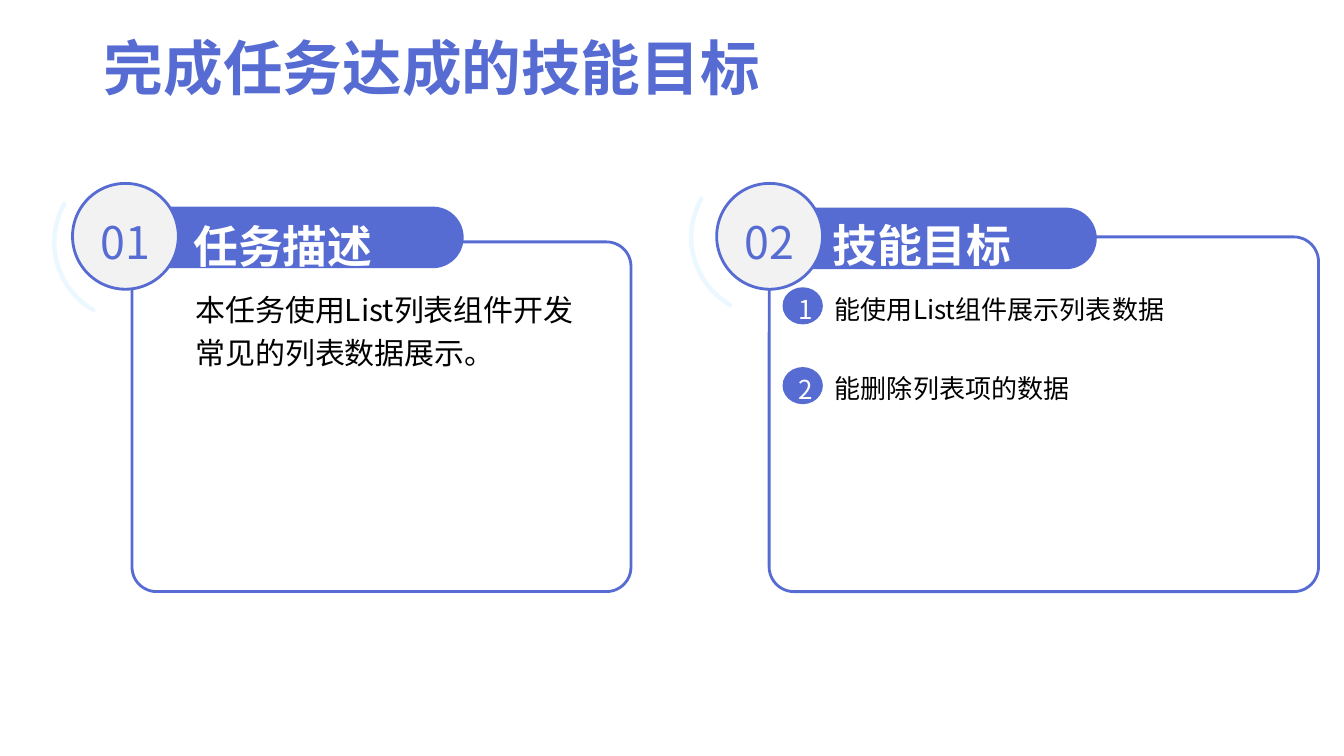
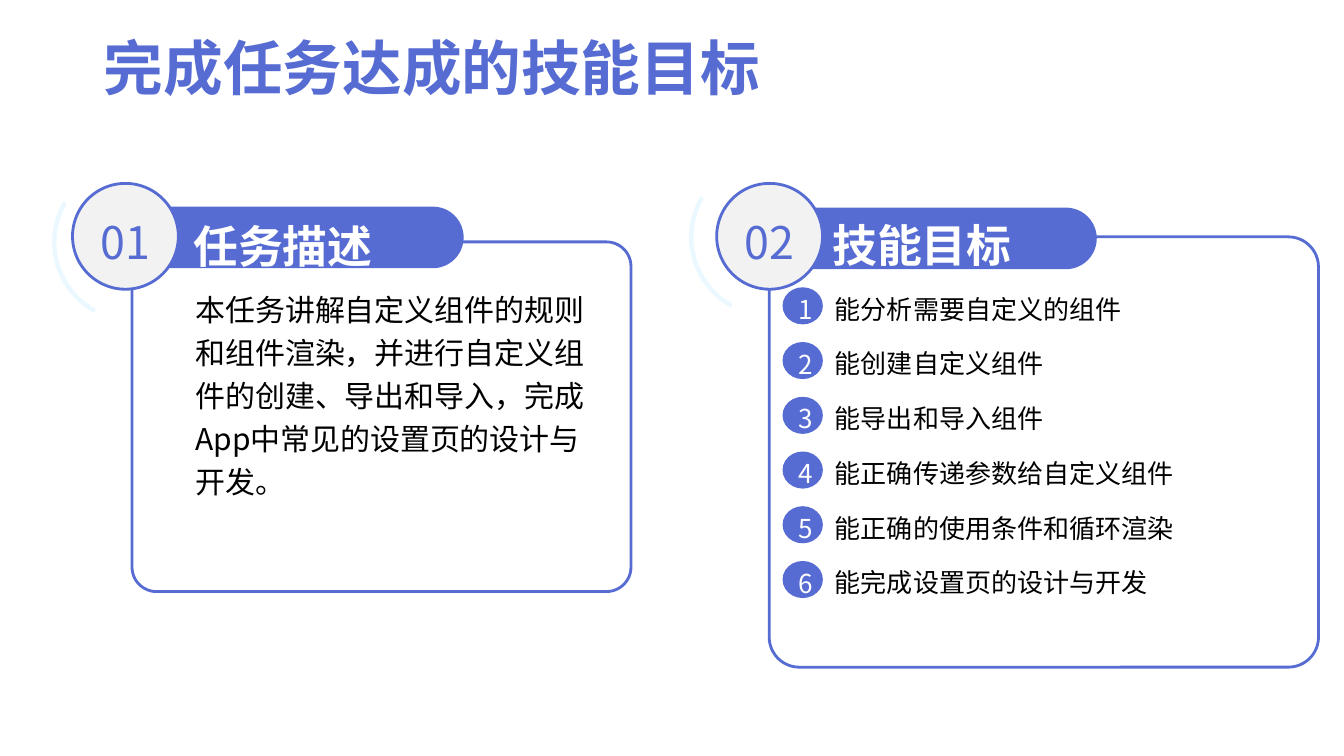
from dataclasses import dataclass

from lxml.etree import SubElement
from pptx import Presentation
from pptx.dml.color import RGBColor
from pptx.enum.shapes import MSO_SHAPE
from pptx.enum.text import MSO_ANCHOR, PP_ALIGN
from pptx.oxml.ns import qn
from pptx.util import Pt


@dataclass(frozen=True)
class Theme:
    font: str = "Noto Sans CJK SC"
    accent: str = "566CD3"
    disc: str = "F2F2F2"
    arc: str = "EBF8FF"
    ink: str = "000000"
    white: str = "FFFFFF"
    title_size: float = 42.6
    heading_size: float = 32
    body_size: float = 21.4
    goal_size: float = 18.6
    line_width: float = 2


theme = Theme()

TITLE = "完成任务达成的技能目标"

# Left, top, width, height in points
SECTIONS = [
    dict(number="01", heading="任务描述", panel=(94.3, 172.8, 356.4),
         band=(97.2, 147.6), disc=(51.8, 131), arc=(38.2, 116.6),
         heading_box=(131, 151.2, 192, 40.3)),
    dict(number="02", heading="技能目标", panel=(549.4, 169.2, 392.4),
         band=(549.4, 148.3), disc=(511.9, 131), arc=(493.2, 113),
         heading_box=(587.5, 149, 177, 44)),
]
BAND_SIZE = (234, 44)
DISC_SIZE = (75.6, 75.6)
ARC_SIZE = (113, 113)
BADGE_LEFT, BADGE_TOP, BADGE_SIZE = 559, 205.2, (28.8, 26.5)
GOAL_LEFT, GOAL_RISE, GOAL_SIZE = 589.3, 3.9, (336, 34.6)

TASKS = [
    dict(description="本任务使用List列表组件开发常见的列表数据展示。",
         description_height=69, panel_bottom=422.6, goal_pitch=57,
         goals=["能使用List组件展示列表数据", "能删除列表项的数据"]),
    dict(description="本任务讲解自定义组件的规则和组件渲染，并进行自定义组件的创建、"
                     "导出和导入，完成App中常见的设置页的设计与开发。",
         description_height=163, panel_bottom=476.6, goal_pitch=39.1,
         goals=["能分析需要自定义的组件", "能创建自定义组件", "能导出和导入组件",
                "能正确传递参数给自定义组件", "能正确的使用条件和循环渲染",
                "能完成设置页的设计与开发"]),
]
DESCRIPTION_PANEL_BOTTOM = 422.6


def add_figure(slide, preset, box, fill=None, line=None):
    """Add a preset shape without shadow; no fill or outline unless given."""
    figure = slide.shapes.add_shape(preset, *map(Pt, box))
    figure.shadow.inherit = False
    if fill:
        figure.fill.solid()
        figure.fill.fore_color.rgb = RGBColor.from_string(fill)
    else:
        figure.fill.background()
    if line:
        figure.line.color.rgb = RGBColor.from_string(line)
        figure.line.width = Pt(theme.line_width)
    else:
        figure.line.fill.background()
    return figure


def write(shape, text, size, color, bold=False, align=PP_ALIGN.LEFT,
          anchor=MSO_ANCHOR.TOP):
    frame = shape.text_frame
    frame.text = text
    frame.word_wrap = True
    frame.vertical_anchor = anchor
    paragraph = frame.paragraphs[0]
    paragraph.alignment = align
    paragraph.line_spacing = 1.2
    font = paragraph.runs[0].font
    font.size = Pt(size)
    font.bold = bold
    font.color.rgb = RGBColor.from_string(color)
    font.name = theme.font
    SubElement(paragraph.runs[0]._r.rPr, qn("a:ea"), typeface=theme.font)
    return frame


prs = Presentation()
prs.slide_width, prs.slide_height = Pt(960), Pt(540)

for task in TASKS:
    slide = prs.slides.add_slide(prs.slide_layouts[6])

    title = slide.shapes.add_textbox(Pt(74.2), Pt(12.2), Pt(531.4), Pt(62))
    title_frame = write(title, TITLE, theme.title_size, theme.accent, bold=True)
    title_frame.margin_left = title_frame.margin_right = 0
    title_frame.margin_top = title_frame.margin_bottom = 0

    bottoms = (DESCRIPTION_PANEL_BOTTOM, task["panel_bottom"])
    if task["goal_pitch"] > 50:
        bottoms = (DESCRIPTION_PANEL_BOTTOM, DESCRIPTION_PANEL_BOTTOM)
    for section, bottom in zip(SECTIONS, bottoms):
        panel_top = section["panel"][1]
        panel = add_figure(slide, MSO_SHAPE.ROUNDED_RECTANGLE,
                           (*section["panel"], bottom - panel_top),
                           line=theme.accent)
        panel.adjustments[0] = 0.07

        band = add_figure(slide, MSO_SHAPE.ROUNDED_RECTANGLE,
                          (*section["band"], *BAND_SIZE), fill=theme.accent)
        band.adjustments[0] = 0.5

        disc = add_figure(slide, MSO_SHAPE.OVAL, (*section["disc"], *DISC_SIZE),
                          fill=theme.disc, line=theme.accent)
        write(disc, section["number"], theme.heading_size, theme.accent,
              align=PP_ALIGN.CENTER, anchor=MSO_ANCHOR.MIDDLE)

        arc = add_figure(slide, MSO_SHAPE.BLOCK_ARC, (*section["arc"], *ARC_SIZE),
                         fill=theme.arc, line=theme.arc)
        arc.rotation = 29
        for index, value in enumerate((54.4, 108.48, 0.01)):
            arc.adjustments[index] = value

        heading = slide.shapes.add_textbox(*map(Pt, section["heading_box"]))
        write(heading, section["heading"], theme.heading_size, theme.white,
              bold=True, anchor=MSO_ANCHOR.MIDDLE)

    description = slide.shapes.add_textbox(Pt(132.5), Pt(199.4), Pt(301),
                                           Pt(task["description_height"]))
    write(description, task["description"], theme.body_size, theme.ink)

    for index, goal_text in enumerate(task["goals"]):
        top = BADGE_TOP + index * task["goal_pitch"]
        goal = slide.shapes.add_textbox(Pt(GOAL_LEFT), Pt(top - GOAL_RISE),
                                        *map(Pt, GOAL_SIZE))
        write(goal, goal_text, theme.goal_size, theme.ink)
        badge = add_figure(slide, MSO_SHAPE.OVAL, (BADGE_LEFT, top, *BADGE_SIZE),
                           fill=theme.accent)
        write(badge, str(index + 1), theme.goal_size, theme.white,
              align=PP_ALIGN.CENTER, anchor=MSO_ANCHOR.MIDDLE)

prs.save("out.pptx")
